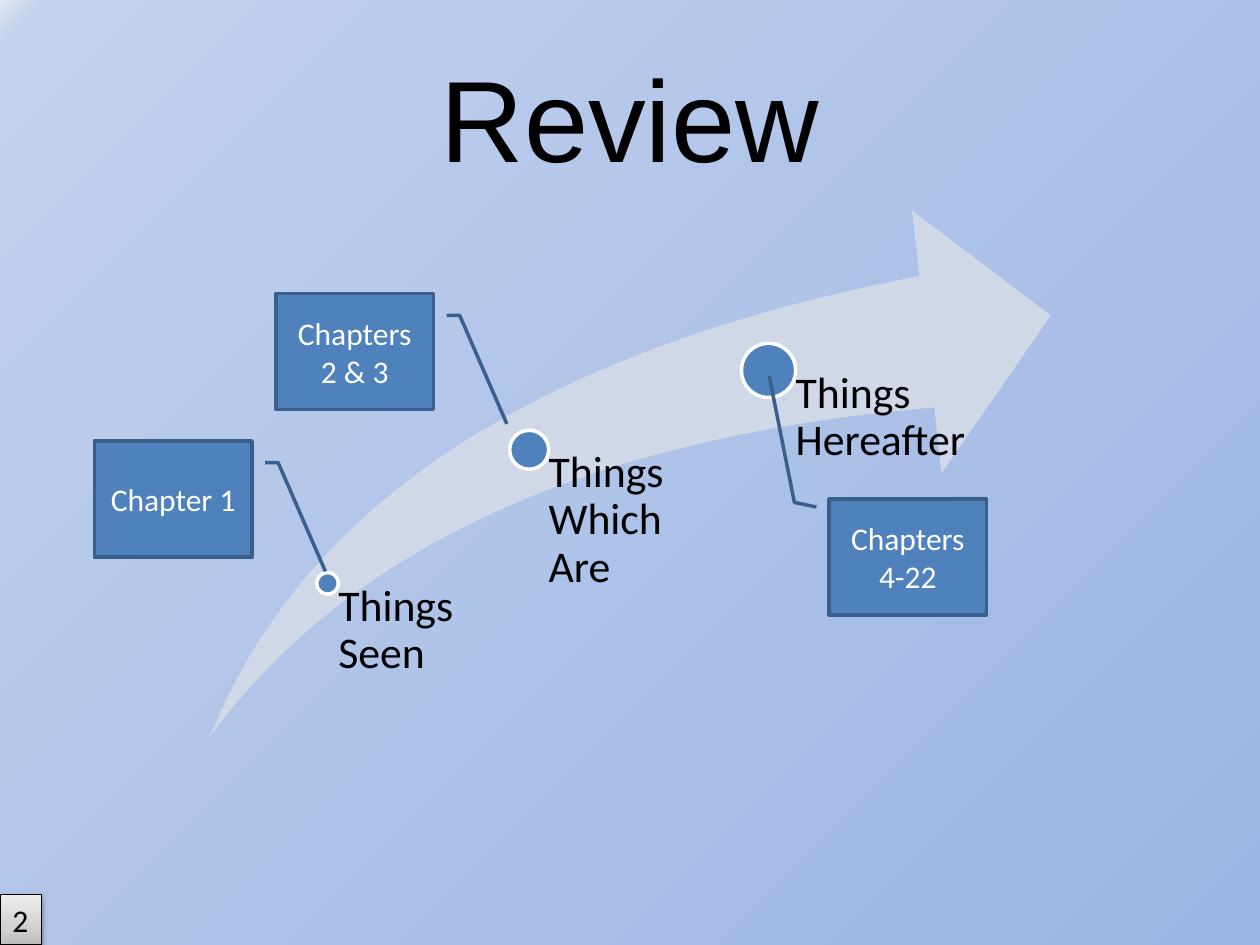
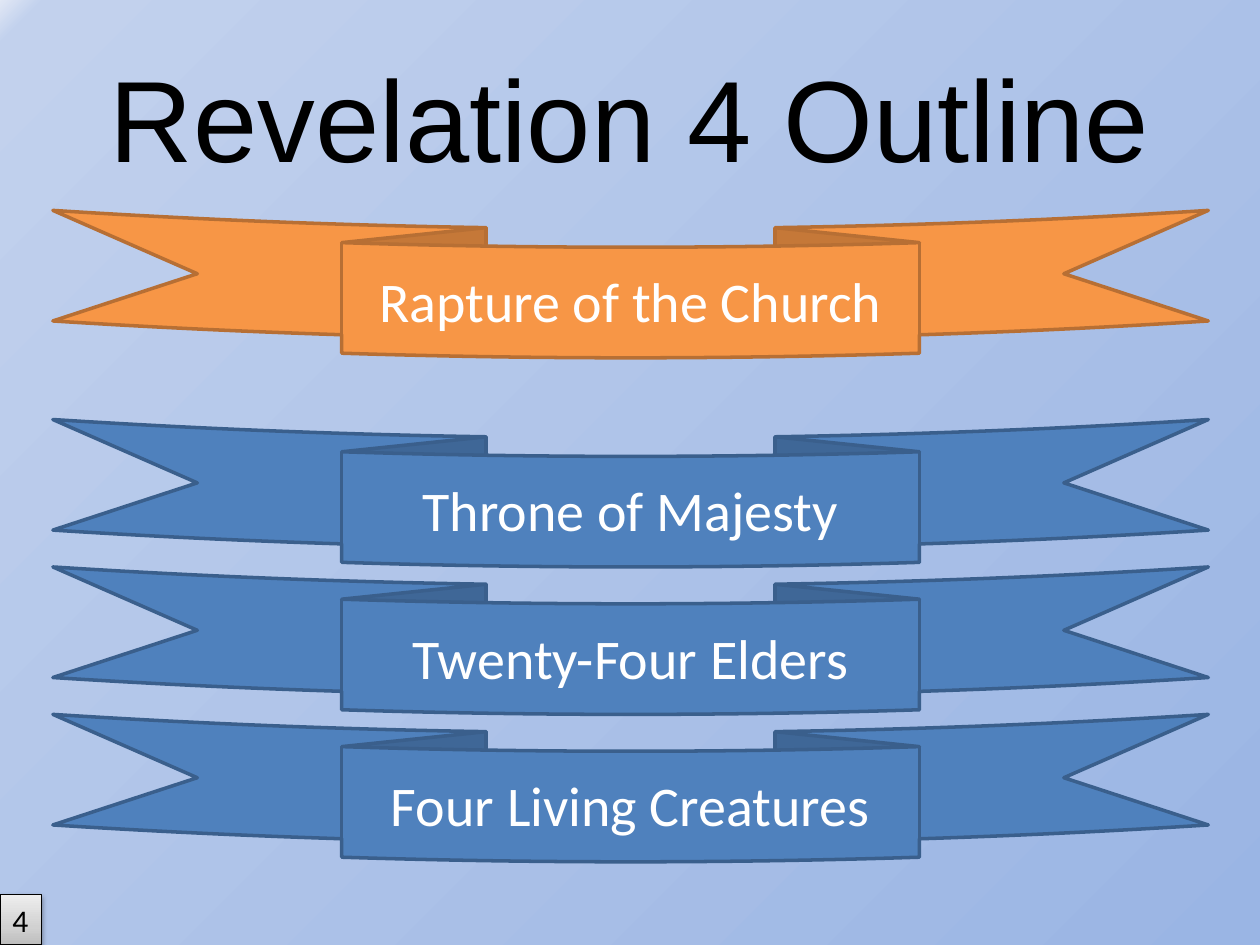
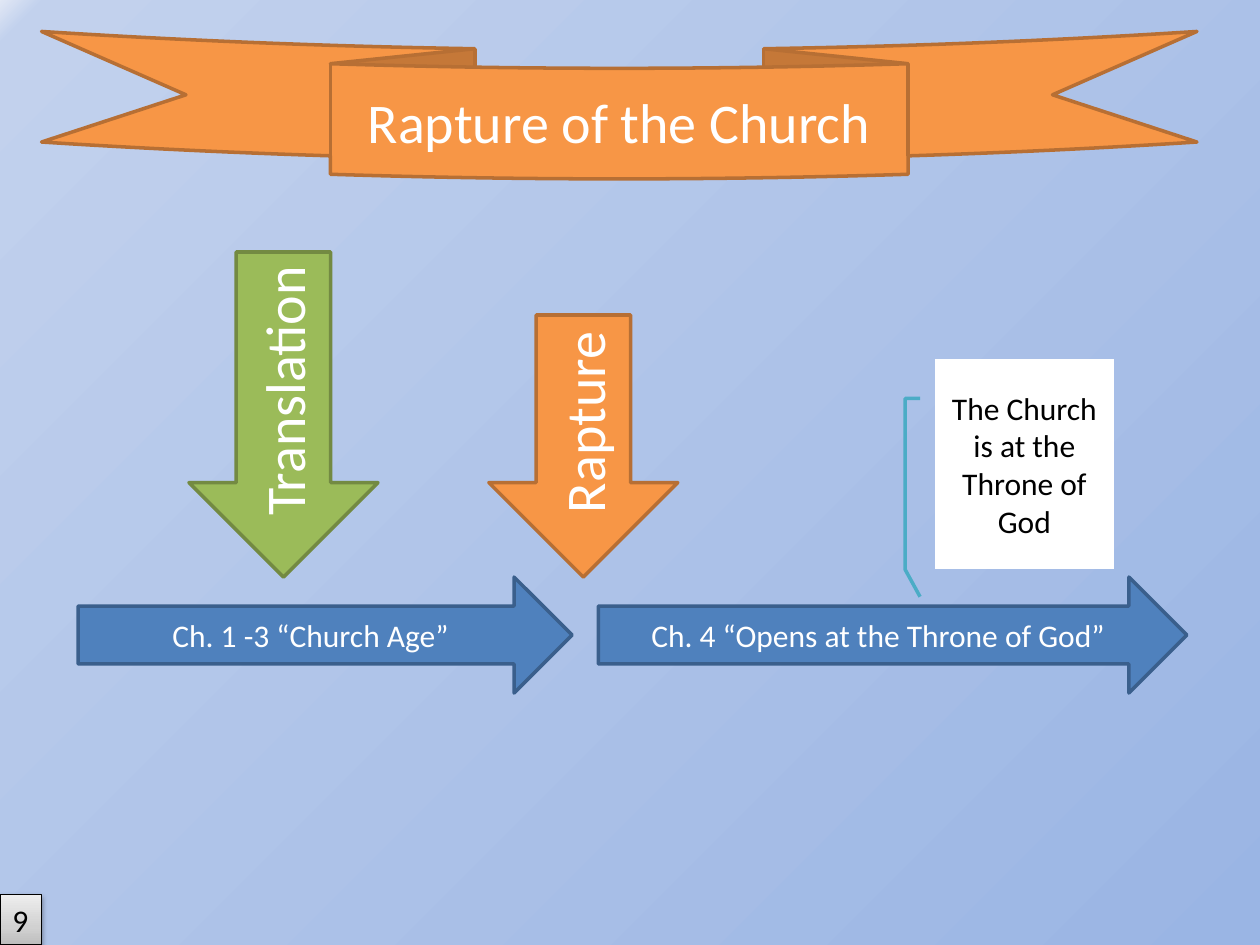
import dataclasses

import pptx
import pptx.dml.color
import pptx.enum.shapes
import pptx.enum.text
import pptx.oxml
import pptx.oxml.ns
import pptx.util

Inches, Pt = pptx.util.Inches, pptx.util.Pt
SHAPE = pptx.enum.shapes.MSO_SHAPE
ALIGN = pptx.enum.text.PP_ALIGN
ANCHOR = pptx.enum.text.MSO_ANCHOR
qn = pptx.oxml.ns.qn


@dataclasses.dataclass(frozen=True)
class Theme:
    """Colours, fonts and type sizes of the deck."""
    # Accents are pairs of fill and outline.
    blue: tuple = ("4F81BD", "3A5F8C")
    orange: tuple = ("F79646", "B76F34")
    green: tuple = ("9BBB59", "738A42")
    note: tuple = ("FFFFFF", "4BACC6")
    swoosh: str = "D0D8E8"
    white: str = "FFFFFF"
    black: str = "000000"
    # Gradient stops: position, colour, opacity (all in percent).
    backdrop: tuple = ((0, "9AB5E4", 0), (98, "C2D1ED", 87), (100, "E1E8F5", 100))
    badge: tuple = ((0, "BDBDBD", 100), (35, "D1D1D1", 100), (100, "EEEEEE", 100))
    title_font: str = "Arial"
    body_font: str = "Calibri"
    title: int = 66
    banner: int = 32
    label: int = 25
    body: int = 18
    outline: float = 2


T = Theme()
BACKDROP_PATH = ('<a:path path="circle">'
                 '<a:fillToRect l="100000" t="100000" r="0" b="0"/></a:path>')
BADGE_ANGLE = '<a:lin ang="16200000" scaled="0"/>'
BADGE_SHADOW = ('<a:outerShdw blurRad="39370" dist="20320" dir="5400000" rotWithShape="0">'
                '<a:srgbClr val="000000"><a:alpha val="38000"/></a:srgbClr></a:outerShdw>')


def rgb(value):
    """Turn a hex string into a colour."""
    return pptx.dml.color.RGBColor.from_string(value)


def drawing(tag, inner):
    """Parse one DrawingML element with the given content."""
    return pptx.oxml.parse_xml(f'<a:{tag} {pptx.oxml.ns.nsdecls("a")}>{inner}</a:{tag}>')


def set_gradient(element, fill, stops, direction):
    """Give the fill found in element a gradient with exact stops."""
    fill.gradient()
    gs = "".join(f'<a:gs pos="{pos * 1000}"><a:srgbClr val="{color}">'
                 f'<a:alpha val="{alpha * 1000}"/></a:srgbClr></a:gs>'
                 for pos, color, alpha in stops)
    old = next(element.iter(qn("a:gradFill")))
    old.getparent().replace(old, drawing("gradFill", f"<a:gsLst>{gs}</a:gsLst>{direction}"))


def set_text(sp, text, size, color, font=T.body_font, align=ALIGN.CENTER,
             anchor=ANCHOR.MIDDLE):
    """Write one paragraph of text in a shape and format it."""
    tf = sp.text_frame
    tf.text = text
    tf.word_wrap = True
    tf.vertical_anchor = anchor
    p = tf.paragraphs[0]
    p.alignment = align
    f = p.runs[0].font
    f.size, f.name, f.color.rgb = Pt(size), font, rgb(color)
    return tf


def add_shape(shapes, kind, box, colors, adjust=(), weight=T.outline):
    """Add a preset shape in box; colors are fill and outline, None for none."""
    sp = shapes.add_shape(kind, *map(Inches, box))
    sp.shadow.inherit = False
    fill, line = colors
    if fill:
        sp.fill.solid()
        sp.fill.fore_color.rgb = rgb(fill)
    if line:
        sp.line.color.rgb = rgb(line)
        sp.line.width = Pt(weight)
    else:
        sp.line.fill.background()
    for i, value in enumerate(adjust):
        sp.adjustments[i] = value
    return sp


def add_title(s, text):
    """Place and format the slide title."""
    sp = s.shapes.title
    sp.left, sp.top, sp.width, sp.height = map(Inches, (0.5, 0.3, 9, 1.25))
    set_text(sp, text, T.title, T.black, T.title_font)


def add_badge(s, number):
    """Draw the number badge in the bottom left corner."""
    sp = add_shape(s.shapes, SHAPE.RECTANGLE, (0, 7.1, 0.33, 0.4), (None, T.black), weight=0.75)
    set_gradient(sp.element, sp.fill, T.badge, BADGE_ANGLE)
    old = next(sp.element.iter(qn("a:effectLst")))
    old.getparent().replace(old, drawing("effectLst", BADGE_SHADOW))
    tf = set_text(sp, number, T.body, T.black, align=ALIGN.LEFT, anchor=ANCHOR.TOP)
    tf.word_wrap = False
    tf.auto_size = pptx.enum.text.MSO_AUTO_SIZE.SHAPE_TO_FIT_TEXT


def add_ribbon(s, left, top, text, colors):
    """Draw a curved ribbon with its caption."""
    sp = add_shape(s.shapes, SHAPE.CURVED_DOWN_RIBBON, (left, top, 9.17, 1.17), colors)
    set_text(sp, text, T.banner, T.white)


def add_swoosh(s, box, milestones):
    """Draw a rising arrow with growing dots, each labelled down to the box bottom."""
    left, top, width, height = box
    shapes = s.shapes.add_group_shape().shapes
    add_shape(shapes, SHAPE.SWOOSH_ARROW, box, (T.swoosh, None), (0.25, 0.25))
    for text, dx, dy, size, label_width in milestones:
        x, y, radius = left + dx, top + dy, size / 2
        add_shape(shapes, SHAPE.OVAL, (x - radius, y - radius, size, size),
                  (T.blue[0], T.white))
        label = shapes.add_textbox(*map(Inches, (x, y, label_width, height - dy)))
        tf = set_text(label, text, T.label, T.black, align=ALIGN.LEFT, anchor=ANCHOR.TOP)
        tf.margin_left = Inches(radius)
        tf.margin_top = tf.margin_right = tf.margin_bottom = 0
        tf.paragraphs[0].line_spacing = 0.9


def add_chapter_callout(s, left, top, text, adjust=()):
    """Draw a mirrored callout box whose leader points at a dot."""
    sp = add_shape(s.shapes, SHAPE.LINE_CALLOUT_2, (left, top, 1.25, 0.92), T.blue, adjust)
    next(sp.element.iter(qn("a:xfrm"))).set("flipH", "1")
    set_text(sp, text, T.body, T.white)


def add_age_arrow(s, left, top, width, text):
    """Draw one horizontal arrow of the time line."""
    sp = add_shape(s.shapes, SHAPE.RIGHT_ARROW, (left, top, width, 0.92), T.blue)
    set_text(sp, text, T.body, T.white)


def add_event_arrow(s, left, bottom, height, text, colors):
    """Draw a down arrow ending at bottom, with its text reading upwards."""
    sp = add_shape(s.shapes, SHAPE.DOWN_ARROW, (left, bottom - height, 1.5, height), colors)
    tf = set_text(sp, text, T.banner, T.white)
    next(tf._txBody.iter(qn("a:bodyPr"))).set("vert", "vert270")


def build_review(s):
    """Fill the review slide."""
    add_title(s, "Review")
    add_swoosh(s, (1.67, 1.67, 6.67, 4.17), (
        ("Things Seen", 0.93, 2.96, 0.17, 1.55),
        ("Things Which Are", 2.53, 1.9, 0.31, 1.6),
        ("Things Hereafter", 4.43, 1.27, 0.43, 1.6)))
    add_chapter_callout(s, 0.75, 3.5, "Chapter 1")
    add_chapter_callout(s, 2.19, 2.33, "Chapters 2 & 3")
    add_chapter_callout(s, 6.58, 3.96, "Chapters 4-22",
                        (0.07, 1.08, 0.03, 1.22, -1.06, 1.38))
    add_badge(s, "2")


def build_outline(s):
    """Fill the outline slide."""
    add_title(s, "Revelation 4 Outline")
    add_ribbon(s, 0.42, 1.67, "Rapture of the Church", T.orange)
    for i, text in enumerate(("Throne of Majesty", "Twenty-Four Elders",
                              "Four Living Creatures")):
        add_ribbon(s, 0.42, 3.33 + i * 1.17, text, T.blue)
    add_badge(s, "4")


def build_rapture(s):
    """Fill the rapture time line slide."""
    axis = 4.58
    add_ribbon(s, 0.33, 0.25, "Rapture of the Church", T.orange)
    add_age_arrow(s, 4.75, axis, 4.67, "Ch. 4 “Opens at the Throne of God”")
    add_age_arrow(s, 0.62, axis, 3.92, "Ch. 1 -3 “Church Age”")
    add_event_arrow(s, 3.88, axis, 2.08, "Rapture", T.orange)
    add_event_arrow(s, 1.5, axis, 2.58, "Translation", T.green)
    sp = add_shape(s.shapes, SHAPE.LINE_CALLOUT_3_NO_BORDER, (7.42, 2.85, 1.42, 1.67), T.note)
    set_text(sp, "The Church is at the Throne of God", T.body, T.black)
    add_badge(s, "9")


prs = pptx.Presentation()
prs.slide_width, prs.slide_height = Inches(10), Inches(7.5)
master = prs.slide_master
set_gradient(master.element, master.background.fill, T.backdrop, BACKDROP_PATH)
title_only, blank = prs.slide_layouts[5], prs.slide_layouts[6]
for layout, build in ((title_only, build_review), (title_only, build_outline),
                      (blank, build_rapture)):
    build(prs.slides.add_slide(layout))
prs.save("out.pptx")
